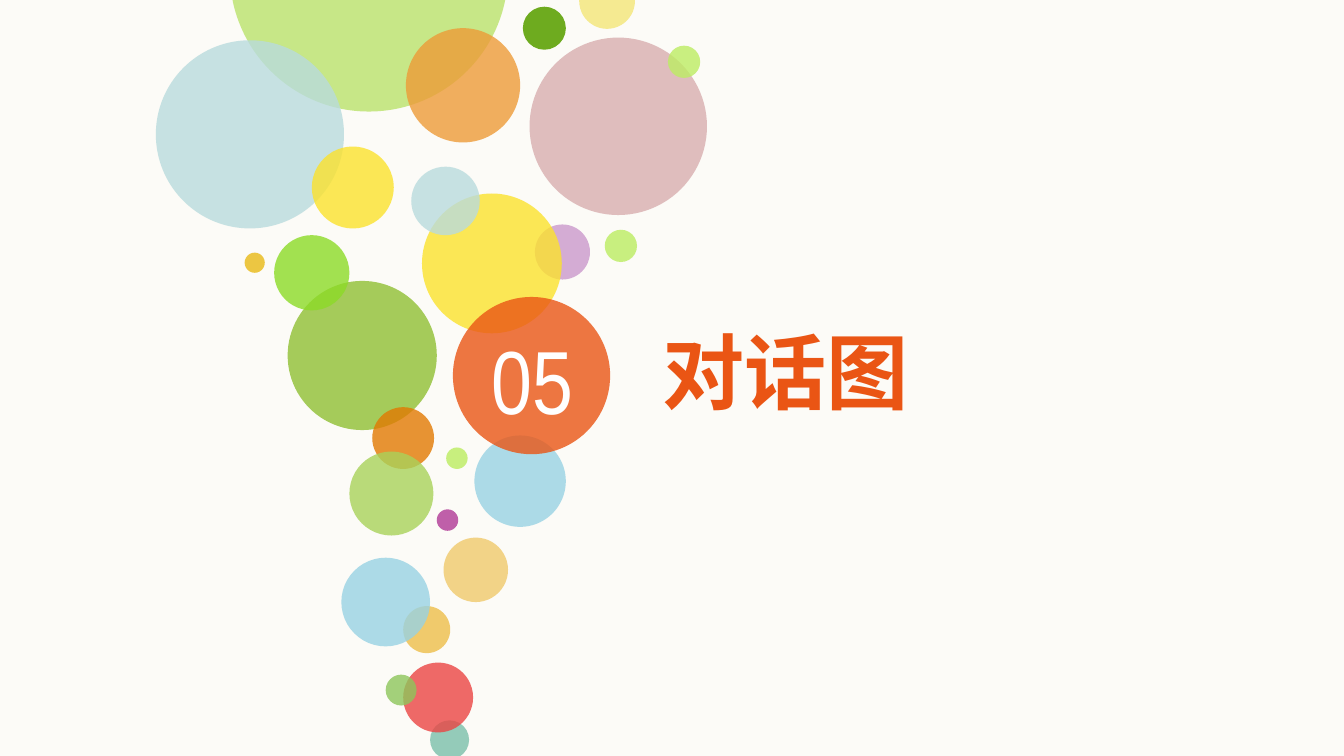
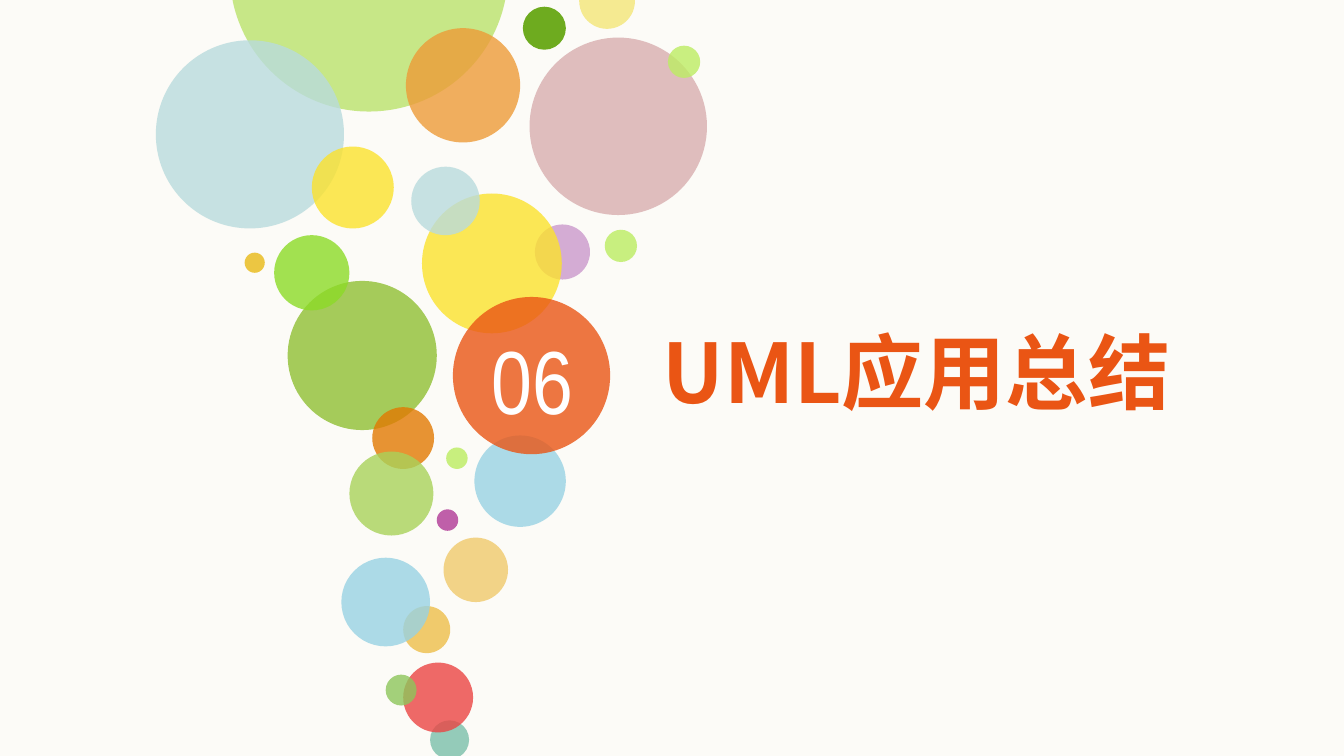
from lxml.etree import SubElement
from pptx import Presentation
from pptx.dml.color import RGBColor
from pptx.enum.shapes import MSO_SHAPE
from pptx.enum.text import MSO_ANCHOR, MSO_AUTO_SIZE, PP_ALIGN
from pptx.oxml.ns import qn
from pptx.util import Inches, Pt

SLIDE_WIDTH = Inches(10)
SLIDE_HEIGHT = SLIDE_WIDTH * 9 // 16
PAPER, ORANGE, WHITE = "FCFBF7", "EA5514", "FFFFFF"
YELLOW, PALE_BLUE, SKY, SAND = "FBE22D", "B9DBDD", "98D2E3", "F0CA6C"
NUMBER_FONT, TITLE_FONT = "Arial Narrow", "Noto Sans CJK SC"
SOLID, SHEER = 100, 80

# Left, top and diameter in percent of the slide width, colour, opacity; back to front
BUBBLES = [
    (17.1, -12.4, 20.7, "BAE36B", SHEER),
    (38.9, 0.5, 3.2, "6EAB1F", SOLID),
    (11.6, 3, 14, PALE_BLUE, SHEER),
    (30.2, 2.1, 8.5, "ED9B38", SHEER),
    (43.1, -2, 4.15, "F5EA91", SOLID),
    (39.4, 2.8, 13.2, "D8AEAF", SHEER),
    (21.4, 20.9, 11.1, "A5CB5A", SOLID),
    (49.7, 3.4, 2.4, "BDED63", SHEER),
    (45, 17.1, 2.4, "BCED61", SHEER),
    (39.8, 16.7, 4.1, "CB99CC", SHEER),
    (31.4, 14.4, 10.4, YELLOW, SHEER),
    (23.2, 10.9, 6.1, YELLOW, SHEER),
    (20.4, 17.5, 5.6, "8CDB27", SHEER),
    (18.2, 18.8, 1.5, "E9B915", SHEER),
    (33.2, 33.3, 1.6, "BCED60", SHEER),
    (32.5, 37.9, 1.6, "B03896", SHEER),
    (33, 40, 4.8, SAND, SHEER),
    (30, 45.1, 3.5, SAND, SOLID),
    (32, 53.6, 2.9, "7BBFAA", SHEER),
    (30, 49.3, 5.2, "EB4544", SHEER),
    (28.7, 50.2, 2.3, "8DC65B", SHEER),
    (25.4, 41.5, 6.6, SKY, SHEER),
    (30.6, 12.4, 5.1, PALE_BLUE, SHEER),
    (35.3, 32.4, 6.8, SKY, SHEER),
    (27.7, 30.3, 4.6, "E27902", SHEER),
    (26, 33.6, 6.25, "A9D25A", SHEER),
    (33.7, 22.1, 11.7, ORANGE, SHEER),
]
SECTIONS = [("05", "对话图"), ("06", "UML应用总结")]


def percent(share):
    """Length for a share of the slide width, in percent."""
    return round(SLIDE_WIDTH * share / 100)


def paint(fill, colour, opacity=SOLID):
    fill.solid()
    fill.fore_color.rgb = RGBColor.from_string(colour)
    if opacity < SOLID:
        colour_node = fill._xPr.find(qn("a:solidFill"))[0]
        SubElement(colour_node, qn("a:alpha"), val=str(opacity * 1000))


def add_bubble(page, left, top, diameter, colour, opacity):
    bubble = page.shapes.add_shape(
        MSO_SHAPE.OVAL, *map(percent, (left, top, diameter, diameter)))
    bubble.shadow.inherit = False
    bubble.line.fill.background()
    paint(bubble.fill, colour, opacity)


def write(box, text, font_name, size, colour, align, bold=False):
    """Put one line of text into a box without margins."""
    frame = box.text_frame
    frame.text = text
    frame.word_wrap = True
    frame.auto_size = MSO_AUTO_SIZE.SHAPE_TO_FIT_TEXT
    frame.vertical_anchor = MSO_ANCHOR.TOP
    frame.margin_left = frame.margin_right = 0
    frame.margin_top = frame.margin_bottom = 0
    para = frame.paragraphs[0]
    para.alignment = align
    span = para.runs[0]
    span.font.name = font_name
    span.font.size = Pt(size)
    span.font.bold = bold
    span.font.color.rgb = RGBColor.from_string(colour)
    SubElement(span.font._element, qn("a:ea"), typeface=font_name)


def add_number(page, number):
    box = page.shapes.add_textbox(*map(percent, (35.6, 24.2, 8, 8.1)))
    write(box, number, NUMBER_FONT, 48, WHITE, PP_ALIGN.CENTER)


def set_title(page, text):
    title = page.shapes.title
    title.left, title.top, title.width, title.height = map(
        percent, (49.3, 23.9, 44.8, 7.4))
    write(title, text, TITLE_FONT, 44, ORANGE, PP_ALIGN.LEFT, bold=True)


def add_section(deck, number, title):
    page = deck.slides.add_slide(deck.slide_layouts.get_by_name("Title Only"))
    for bubble in BUBBLES:
        add_bubble(page, *bubble)
    add_number(page, number)
    set_title(page, title)


def main():
    deck = Presentation()
    deck.slide_width, deck.slide_height = SLIDE_WIDTH, SLIDE_HEIGHT
    paint(deck.slide_master.background.fill, PAPER)
    for number, title in SECTIONS:
        add_section(deck, number, title)
    deck.save("out.pptx")


if __name__ == "__main__":
    main()
